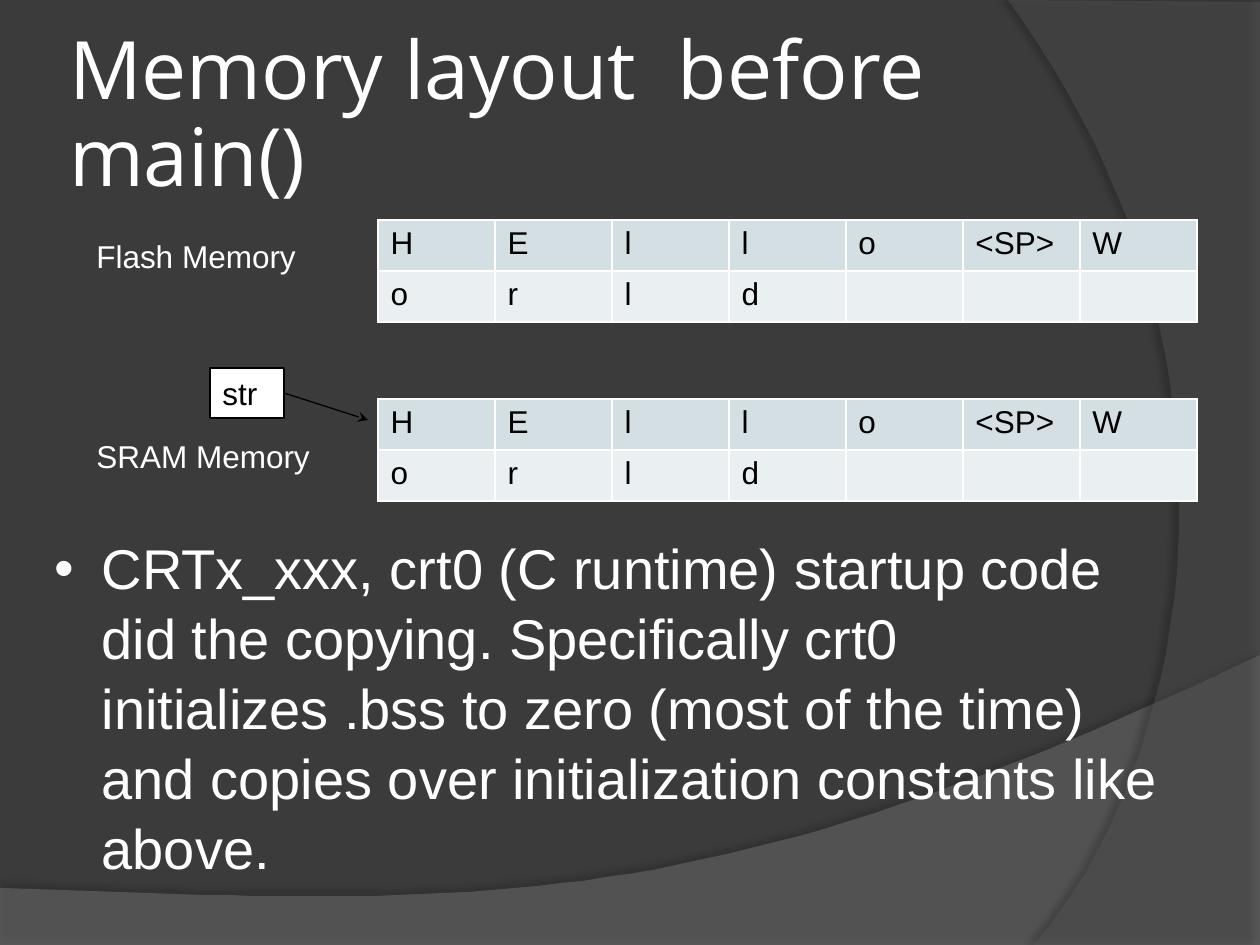
from dataclasses import dataclass

from lxml import etree
from pptx import Presentation
from pptx.dml.color import RGBColor
from pptx.enum import shapes, text
from pptx.oxml import ns
from pptx.util import Pt

PX = 914400 / 126  # EMU in one px


@dataclass(frozen=True)
class Theme:
    background: str = "3B3B3B"
    wave: str = "7B7B7B"
    arc: str = "5A5A5A"
    light: str = "FFFFFF"
    dark: str = "000000"
    row_fills: tuple = ("D4DFE3", "EAF0F2")
    title_font: str = "Open Sans"
    body_font: str = "Arial"
    title_size: int = 46
    body_size: int = 32
    label_size: int = 18


THEME = Theme()
HELLO_WORLD = (("H", "E", "l", "l", "o", "<SP>", "W"),
               ("o", "r", "l", "d", "", "", ""))
STARTUP_NOTE = ("CRTx_xxx, crt0 (C runtime) startup code did the copying. "
                "Specifically crt0 initializes .bss to zero (most of the time) "
                "and copies over initialization constants like above.")


def emu(*lengths):
    return [round(length * PX) for length in lengths]


def rgb(color):
    return RGBColor.from_string(color)


def child(parent, tag, **attributes):
    element = etree.SubElement(parent, ns.qn(tag))
    for name, value in attributes.items():
        element.set(name, str(value))
    return element


def style(paragraph, size, color, font=THEME.body_font):
    paragraph.font.size = Pt(size)
    paragraph.font.name = font
    paragraph.font.color.rgb = rgb(color)
    paragraph.alignment = text.PP_ALIGN.LEFT


def bezier(start, control1, control2, end, steps=48):
    """Points along a cubic curve, without its start."""
    for step in range(1, steps + 1):
        t = step / steps
        weights = ((1 - t) ** 3, 3 * t * (1 - t) ** 2, 3 * t * t * (1 - t), t ** 3)
        yield tuple(sum(w * p for w, p in zip(weights, axis))
                    for axis in zip(start, control1, control2, end))


def add_backdrop(slide, layer, corners, controls, end, color, opacity, shadow):
    """Translucent outline whose last side is a curve; layer counts from the back."""
    builder = slide.shapes.build_freeform(*corners[0], scale=PX)
    builder.add_line_segments([*corners[1:], *bezier(corners[-1], *controls, end)])
    backdrop = builder.convert_to_shape()
    backdrop.fill.solid()
    backdrop.fill.fore_color.rgb = rgb(color)
    backdrop.line.fill.background()
    fill_color = backdrop.fill._xPr.find(ns.qn("a:solidFill"))[0]
    child(fill_color, "a:alpha", val=opacity * 1000)

    # Soft shadow along the curve
    shadow_opacity, blur, distance, angle = shadow
    effects = child(backdrop._element.spPr, "a:effectLst")
    outer = child(effects, "a:outerShdw", blurRad=Pt(blur), dist=Pt(distance),
                  dir=angle * 60000, algn="ctr", rotWithShape=0)
    shade = child(outer, "a:srgbClr", val=THEME.dark)
    child(shade, "a:alpha", val=shadow_opacity * 1000)
    slide.shapes._spTree.insert(2 + layer, backdrop._element)


def place(placeholder, words, box, anchor):
    placeholder.left, placeholder.top, placeholder.width, placeholder.height = emu(*box)
    frame = placeholder.text_frame
    frame.text = words
    frame.auto_size = text.MSO_AUTO_SIZE.NONE
    frame.vertical_anchor = anchor
    return frame


def fill_title(slide):
    frame = place(slide.shapes.title, "Memory layout  before main()",
                  (63, 38, 1029, 157), text.MSO_ANCHOR.MIDDLE)
    frame.margin_left, frame.margin_right = emu(6, 6)
    heading = frame.paragraphs[0]
    style(heading, THEME.title_size, THEME.light, THEME.title_font)
    heading.line_spacing = 0.9


def fill_body(slide):
    frame = place(slide.placeholders[1], STARTUP_NOTE,
                  (42, 525, 1155, 319), text.MSO_ANCHOR.TOP)
    note = frame.paragraphs[0]
    style(note, THEME.body_size, THEME.light)
    note.line_spacing = 1.04
    note.space_before = Pt(0)
    properties = note._p.get_or_add_pPr()
    hanging, = emu(47)
    properties.set("marL", str(hanging))
    properties.set("indent", str(-hanging))
    bullet_color = child(properties, "a:buClr")
    child(bullet_color, "a:srgbClr", val=THEME.light)
    child(properties, "a:buFont", typeface=THEME.body_font)
    child(properties, "a:buChar", char="•")
    defaults = properties.find(ns.qn("a:defRPr"))
    if defaults is not None:
        properties.append(defaults)  # must follow the bullet


def add_label(slide, words, box):
    label = slide.shapes.add_textbox(*emu(*box)).text_frame
    label.word_wrap = True
    label.text = words
    style(label.paragraphs[0], THEME.label_size, THEME.light)


def add_border(cell):
    properties = cell._tc.get_or_add_tcPr()
    for position, side in enumerate(("a:lnL", "a:lnR", "a:lnT", "a:lnB")):
        border = child(properties, side, w=Pt(1))
        child(child(border, "a:solidFill"), "a:srgbClr", val=THEME.light)
        properties.insert(position, border)


def add_memory(slide, rows, left, top, cell_width, cell_height):
    columns = len(rows[0])
    memory = slide.shapes.add_table(
        len(rows), columns,
        *emu(left, top, cell_width * columns, cell_height * len(rows))).table
    memory.first_row = memory.horz_banding = False
    for row, letters, color in zip(memory.rows, rows, THEME.row_fills):
        row.height, = emu(cell_height)
        for cell, letter in zip(row.cells, letters):
            cell.text = letter
            style(cell.text_frame.paragraphs[0], THEME.label_size, THEME.dark)
            cell.fill.solid()
            cell.fill.fore_color.rgb = rgb(color)
            add_border(cell)


def add_variable(slide, name, box):
    variable = slide.shapes.add_shape(shapes.MSO_SHAPE.RECTANGLE, *emu(*box))
    variable.shadow.inherit = False
    variable.fill.solid()
    variable.fill.fore_color.rgb = rgb(THEME.light)
    variable.line.color.rgb = rgb(THEME.dark)
    variable.line.width = Pt(1.5)
    variable.text_frame.text = name
    style(variable.text_frame.paragraphs[0], THEME.label_size, THEME.dark)
    return variable


def add_pointer(slide, variable, target):
    pointer = slide.shapes.add_connector(
        shapes.MSO_CONNECTOR.STRAIGHT, 0, 0, *emu(*target))
    pointer.begin_connect(variable, 3)
    pointer.line.color.rgb = rgb(THEME.dark)
    pointer.line.width = Pt(0.75)
    child(pointer.line._get_or_add_ln(), "a:tailEnd", type="stealth")
    child(pointer._element.spPr, "a:effectLst")


def main():
    deck = Presentation()
    deck.slide_width, deck.slide_height = emu(1260, 945)
    slide = deck.slides.add_slide(deck.slide_layouts[1])
    slide.background.fill.solid()
    slide.background.fill.fore_color.rgb = rgb(THEME.background)

    # Curved backdrop
    add_backdrop(slide, 0, [(0, 888), (0, 946), (1260, 946), (1260, 655)],
                 [(704, 919), (493, 906)], (0, 888), THEME.wave, 45, (35, 4, 3.5, 270))
    add_backdrop(slide, 1, [(1008, 0), (1260, 2), (1260, 945), (1034, 945)],
                 [(1178, 780), (1283, 378)], (1008, 0), THEME.arc, 40, (45, 4, 4, 180))

    # Title and explanation
    fill_title(slide)
    fill_body(slide)

    # The same string in both memories
    for name, label_top, table_top in (("Flash Memory", 231, 220),
                                       ("SRAM Memory", 431, 399)):
        add_label(slide, name, (84, label_top, 242, 51))
        add_memory(slide, HELLO_WORLD, 378, table_top, 117, 51)

    # Variable pointing at the SRAM string
    variable = add_variable(slide, "str", (210, 368, 74, 50))
    add_pointer(slide, variable, (368, 420))

    deck.save("out.pptx")


if __name__ == "__main__":
    main()
